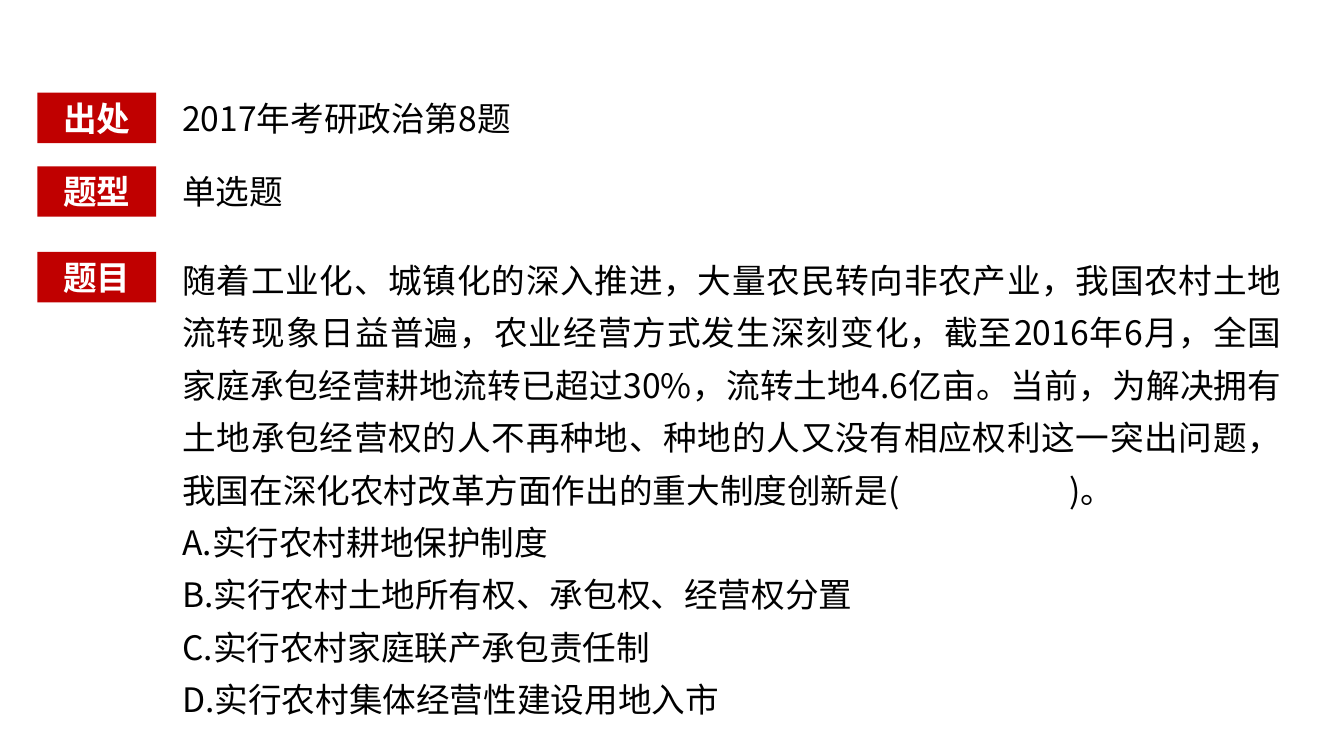
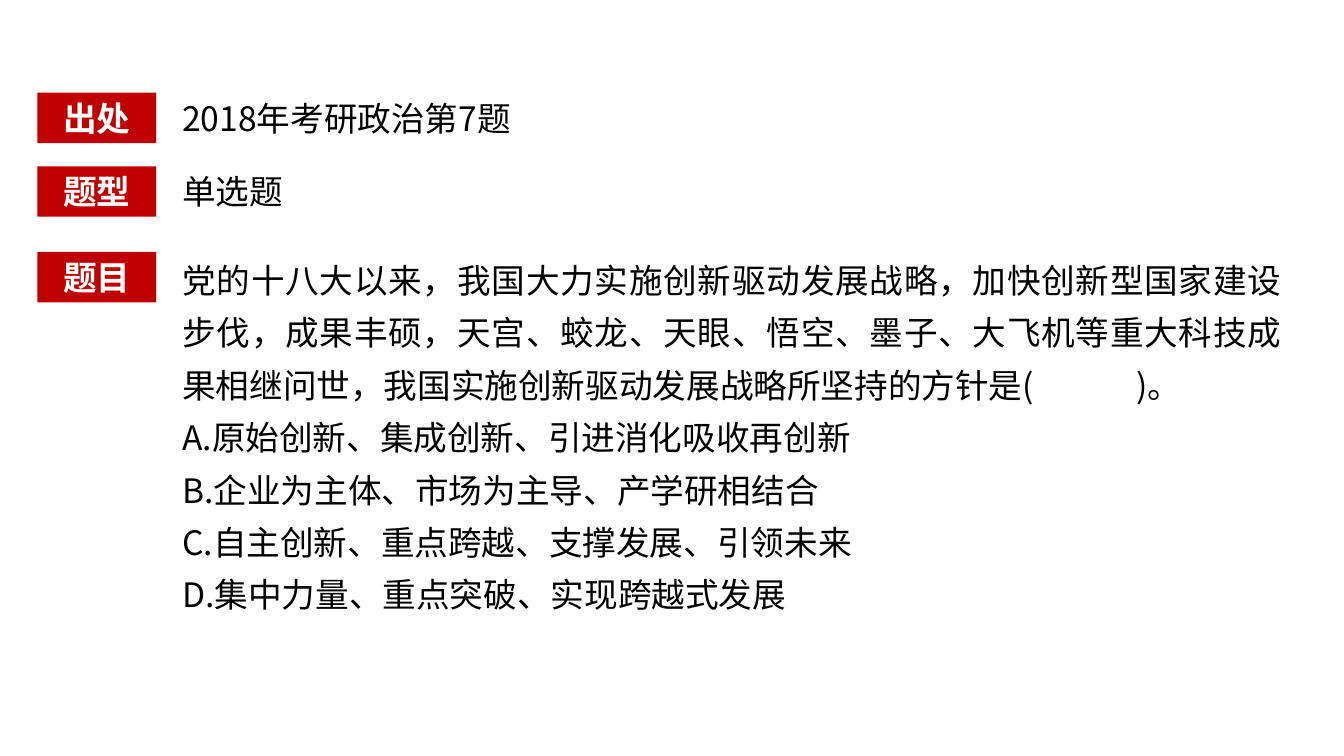
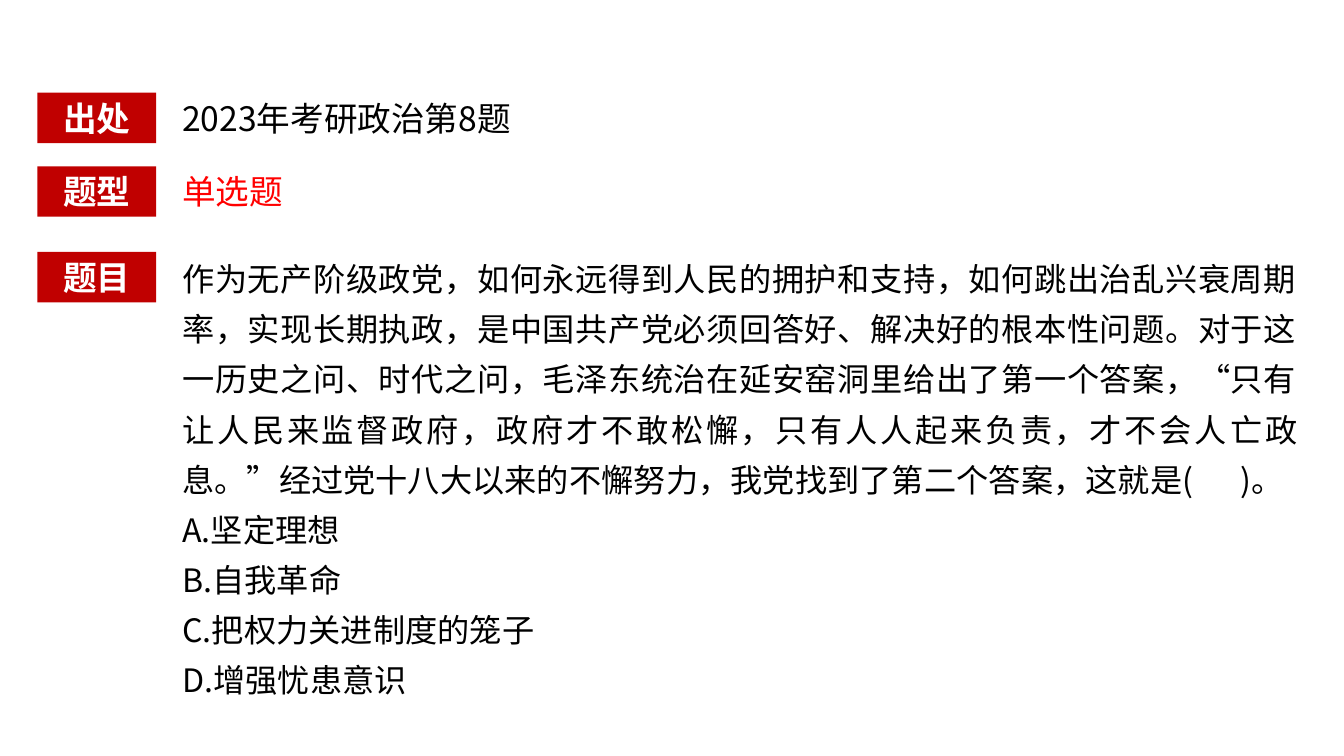
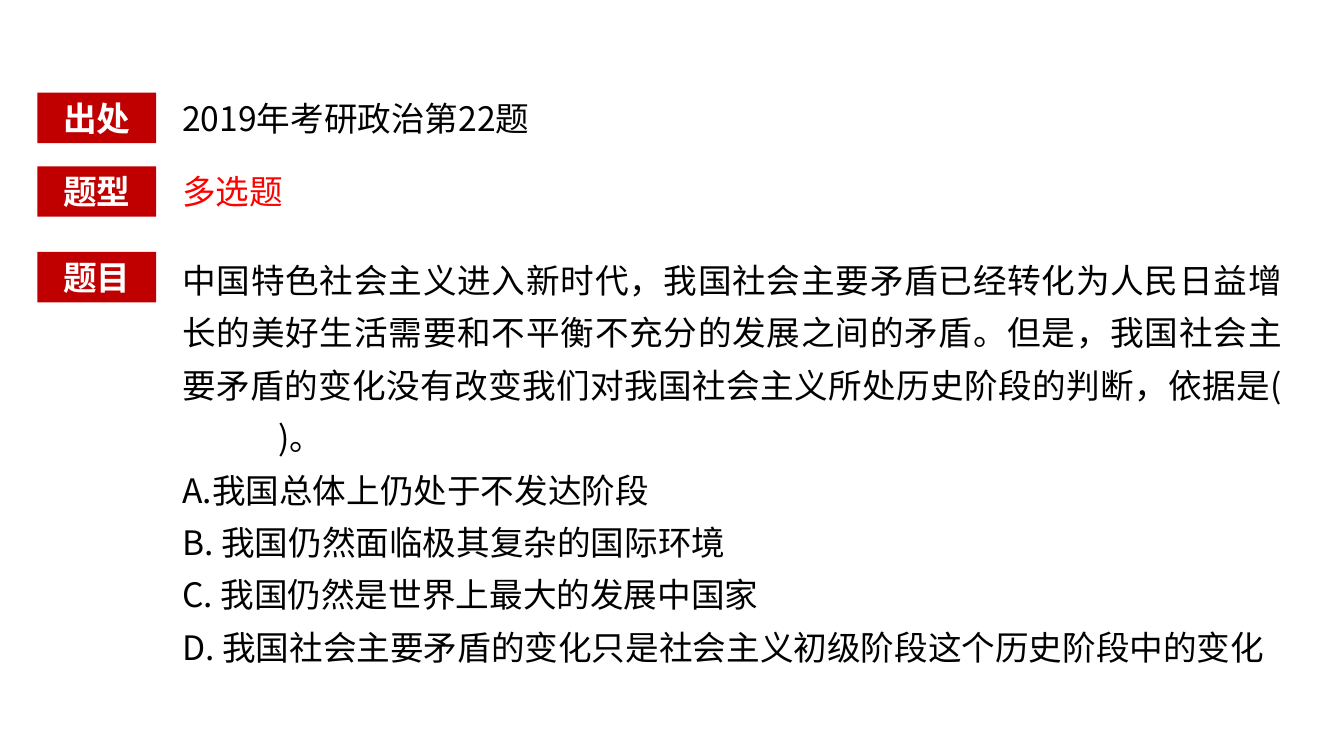
from dataclasses import dataclass

from lxml import etree
from pptx import Presentation
from pptx import util as u
from pptx.dml.color import RGBColor
from pptx.enum import shapes, text
from pptx.oxml import ns

# Shared style: 100 px to the inch
EMU_PER_PX = 9144
FONT = "Noto Sans CJK SC"
CRIMSON = RGBColor(0xC0, 0x00, 0x00)
RED = RGBColor(0xFF, 0x00, 0x00)
BLACK = RGBColor(0x00, 0x00, 0x00)
WHITE = RGBColor(0xFF, 0xFF, 0xFF)

# Shared grid
LABEL_LEFT, LABEL_WIDTH, ROW_HEIGHT = 37, 118, 50
TEXT_LEFT, TEXT_WIDTH = 171, 906
SOURCE_TOP, KIND_TOP, QUESTION_TOP = 92, 165, 250
QUESTION_RISE = 9


@dataclass
class Question:
    source: str
    kind: str
    stem: str
    options: list
    blank_end: int  # tab stop of the closing bracket
    height: int
    kind_color: RGBColor = BLACK
    width: int = 1110
    size: int = 24


QUESTIONS = [
    Question(
        "2017年考研政治第8题", "单选题",
        "随着工业化、城镇化的深入推进，大量农民转向非农产业，我国农村土地流转现象日益普遍，"
        "农业经营方式发生深刻变化，截至2016年6月，全国家庭承包经营耕地流转已超过30%，"
        "流转土地4.6亿亩。当前，为解决拥有土地承包经营权的人不再种地、种地的人又没有相应权利"
        "这一突出问题，我国在深化农村改革方面作出的重大制度创新是(\t)。",
        ["A.实行农村耕地保护制度",
         "B.实行农村土地所有权、承包权、经营权分置",
         "C.实行农村家庭联产承包责任制",
         "D.实行农村集体经营性建设用地入市"],
        blank_end=880, height=478),
    Question(
        "2018年考研政治第7题", "单选题",
        "党的十八大以来，我国大力实施创新驱动发展战略，加快创新型国家建设步伐，成果丰硕，"
        "天宫、蛟龙、天眼、悟空、墨子、大飞机等重大科技成果相继问世，"
        "我国实施创新驱动发展战略所坚持的方针是(\t)。",
        ["A.原始创新、集成创新、引进消化吸收再创新",
         "B.企业为主体、市场为主导、产学研相结合",
         "C.自主创新、重点跨越、支撑发展、引领未来",
         "D.集中力量、重点突破、实现跨越式发展"],
        blank_end=946, height=373),
    Question(
        "2023年考研政治第8题", "单选题",
        "作为无产阶级政党，如何永远得到人民的拥护和支持，如何跳出治乱兴衰周期率，实现长期执政，"
        "是中国共产党必须回答好、解决好的根本性问题。对于这一历史之问、时代之问，"
        "毛泽东统治在延安窑洞里给出了第一个答案，“只有让人民来监督政府，政府才不敢松懈，"
        "只有人人起来负责，才不会人亡政息。”经过党十八大以来的不懈努力，"
        "我党找到了第二个答案，这就是(\t)。",
        ["A.坚定理想", "B.自我革命", "C.把权力关进制度的笼子", "D.增强忧患意识"],
        blank_end=101, height=458, kind_color=RED, width=1126, size=23),
    Question(
        "2019年考研政治第22题", "多选题",
        "中国特色社会主义进入新时代，我国社会主要矛盾已经转化为人民日益增长的美好生活需要和"
        "不平衡不充分的发展之间的矛盾。但是，我国社会主要矛盾的变化没有改变我们对我国社会主义"
        "所处历史阶段的判断，依据是(\v\t)。",
        ["A.我国总体上仍处于不发达阶段",
         "B. 我国仍然面临极其复杂的国际环境",
         "C. 我国仍然是世界上最大的发展中国家",
         "D. 我国社会主要矛盾的变化只是社会主义初级阶段这个历史阶段中的变化"],
        blank_end=95, height=425, kind_color=RED),
]


def px(*lengths):
    return [u.Emu(length * EMU_PER_PX) for length in lengths]


def style(para, color, size=24, bold=False):
    font = para.font
    font.size, font.bold, font.name = u.Pt(size), bold, FONT
    font.color.rgb = color
    latin = font._element.find(ns.qn("a:latin"))
    east_asian = etree.Element(ns.qn("a:ea"), typeface=FONT)
    latin.addnext(east_asian)


def add_tab_stop(para, position):
    tabs = etree.SubElement(para._p.get_or_add_pPr(), ns.qn("a:tabLst"))
    etree.SubElement(tabs, ns.qn("a:tab"), pos=str(px(position)[0]), algn="l")


def add_label(page, top, caption):
    label = page.shapes.add_shape(
        shapes.MSO_SHAPE.RECTANGLE, *px(LABEL_LEFT, top, LABEL_WIDTH, ROW_HEIGHT))
    label.shadow.inherit = False
    label.fill.solid()
    label.fill.fore_color.rgb = CRIMSON
    label.line.fill.background()
    frame = label.text_frame
    frame.text = caption
    frame.vertical_anchor = text.MSO_ANCHOR.TOP
    para = frame.paragraphs[0]
    para.alignment = text.PP_ALIGN.CENTER
    style(para, WHITE, bold=True)


def add_text(page, top, width, height, lines):
    box = page.shapes.add_textbox(*px(TEXT_LEFT, top, width, height))
    frame = box.text_frame
    frame.word_wrap = True
    frame.auto_size = text.MSO_AUTO_SIZE.SHAPE_TO_FIT_TEXT
    frame.text = "\n".join(lines)
    return frame.paragraphs


def add_row(page, top, caption, value, color=BLACK):
    add_label(page, top, caption)
    style(add_text(page, top, TEXT_WIDTH, ROW_HEIGHT, [value])[0], color)


def add_question(page, top, question):
    add_label(page, top, "题目")
    paras = add_text(page, top - QUESTION_RISE, question.width, question.height,
                     [question.stem, *question.options])
    paras[0].alignment = text.PP_ALIGN.JUSTIFY
    add_tab_stop(paras[0], question.blank_end)
    for para in paras:
        para.line_spacing = 1.3
        style(para, BLACK, question.size)


def build_page(deck, question):
    page = deck.slides.add_slide(deck.slide_layouts[6])
    add_row(page, SOURCE_TOP, "出处", question.source)
    add_row(page, KIND_TOP, "题型", question.kind, question.kind_color)
    add_question(page, QUESTION_TOP, question)


def main():
    deck = Presentation()
    deck.slide_width, deck.slide_height = px(1333, 750)
    for question in QUESTIONS:
        build_page(deck, question)
    deck.save("out.pptx")


if __name__ == "__main__":
    main()
